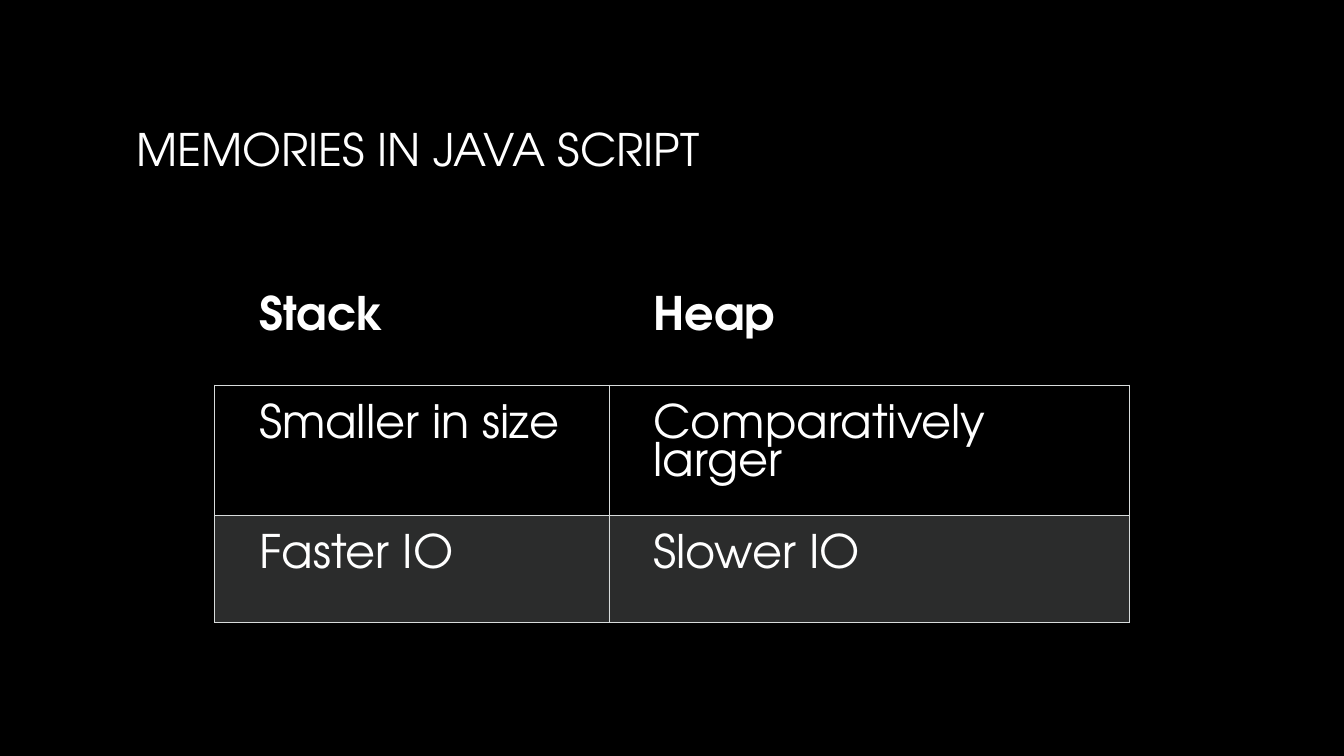
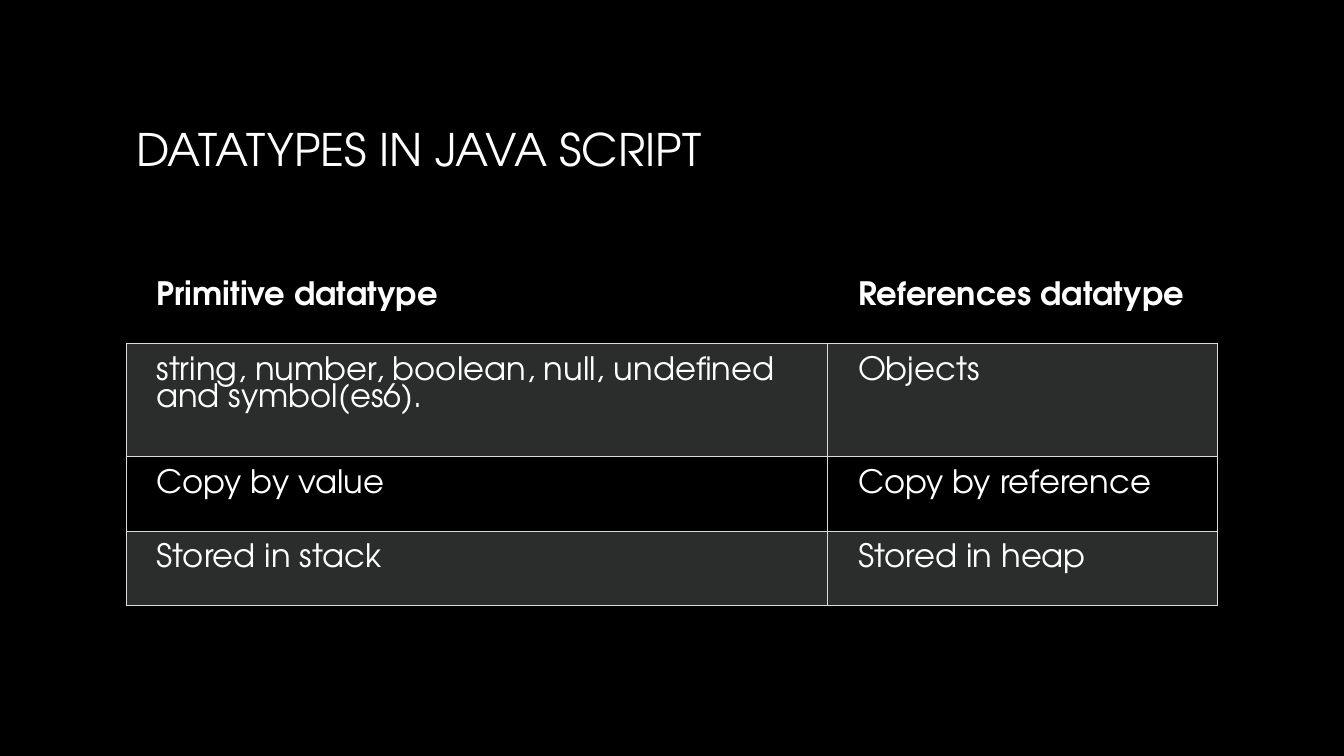
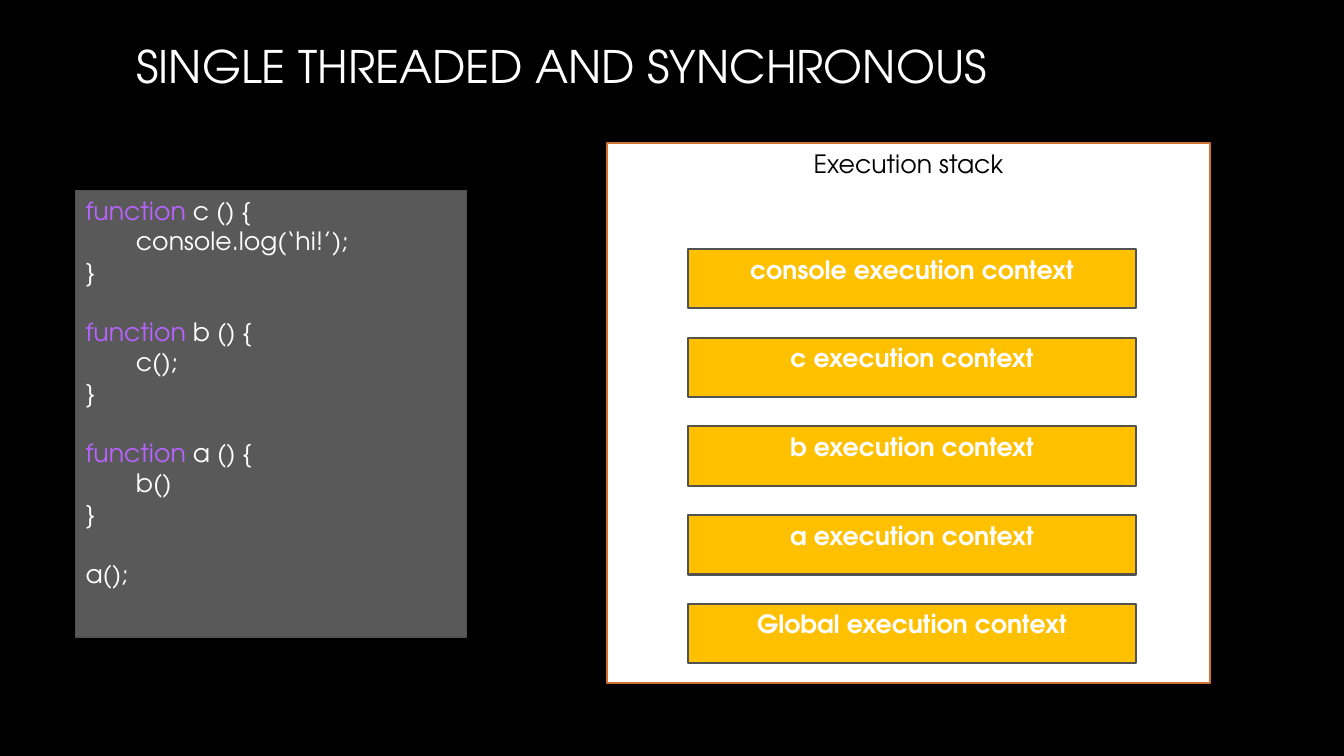
import dataclasses

import pptx
import pptx.dml.color
import pptx.enum.shapes
import pptx.enum.text
import pptx.oxml
import pptx.oxml.ns
import pptx.util

Inches = pptx.util.Inches
Pt = pptx.util.Pt
Align = pptx.enum.text.PP_ALIGN
Anchor = pptx.enum.text.MSO_ANCHOR


@dataclasses.dataclass(frozen=True)
class Theme:
    font: str = "TeX Gyre Adventor"
    black: str = "000000"
    white: str = "FFFFFF"
    rule: str = "D8DCDC"
    band: str = "D8DEDC"
    band_opacity: int = 20
    code_fill: str = "595959"
    outline: str = "525252"
    keyword: str = "B764FF"
    amber: str = "FFC000"
    orange: str = "CF7133"
    title_size: int = 32
    body_size: int = 18
    cell_spacing: float = 0.9
    rule_width: float = 0.75
    code_indent: float = 0.5
    code_gap: float = 21.6


THEME = Theme()
TITLE_ONLY = 5
KEYWORD = "function"
CODE_BLOCKS = [
    ["function c () {", "\tconsole.log(‘hi!’);", "}"],
    ["function b () {", "\tc();", "}"],
    ["function a () {", "\tb()", "}"],
    ["a();"],
]
CONTEXTS = ["console", "c", "b", "a", "Global"]


def rgb(color):
    return pptx.dml.color.RGBColor.from_string(color)


def add_text(para, text, size=THEME.body_size, color=THEME.white, bold=False,
             align=Align.LEFT, spacing=None):
    para.alignment = align
    if spacing:
        para.line_spacing = spacing
    span = para.add_run()
    span.text = text
    span.font.name = THEME.font
    span.font.size = Pt(size)
    span.font.bold = bold
    span.font.color.rgb = rgb(color)


def add_page(deck, title, top=0.67, height=1.61):
    page = deck.slides.add_slide(deck.slide_layouts[TITLE_ONLY])
    box = page.shapes.title
    box.left, box.top = Inches(1.25), Inches(top)
    box.width, box.height = Inches(10.83), Inches(height)
    box.text_frame.vertical_anchor = Anchor.MIDDLE
    add_text(box.text_frame.paragraphs[0], title, size=THEME.title_size)
    return page


def add_box(page, left, top, width, height, fill, line, line_width):
    """Add a plain rectangle and return its empty, top-anchored text frame."""
    box = page.shapes.add_shape(
        pptx.enum.shapes.MSO_SHAPE.RECTANGLE,
        Inches(left), Inches(top), Inches(width), Inches(height))
    box.shadow.inherit = False
    box.fill.solid()
    box.fill.fore_color.rgb = rgb(fill)
    box.line.color.rgb = rgb(line)
    box.line.width = Pt(line_width)
    box.text_frame.word_wrap = True
    box.text_frame.vertical_anchor = Anchor.TOP
    return box.text_frame


def set_borders(cell, visible):
    """Rule the sides in visible (letters of LRTB) and clear the others."""
    properties = cell._tc.get_or_add_tcPr()
    for side in "LRTB":
        paint = (f'<a:solidFill><a:srgbClr val="{THEME.rule}"/></a:solidFill>'
                 if side in visible else "<a:noFill/>")
        properties.append(pptx.oxml.parse_xml(
            f'<a:ln{side} {pptx.oxml.ns.nsdecls("a")} '
            f'w="{Pt(THEME.rule_width)}">{paint}</a:ln{side}>'))


def shade(cell):
    cell.fill.solid()
    cell.fill.fore_color.rgb = rgb(THEME.band)
    color = cell._tc.tcPr.find(".//" + pptx.oxml.ns.qn("a:srgbClr") + "[@val='"
                               + THEME.band + "']")
    color.append(pptx.oxml.parse_xml(
        f'<a:alpha {pptx.oxml.ns.nsdecls("a")} '
        f'val="{THEME.band_opacity * 1000}"/>'))


def add_comparison(page, rows, left, top, widths, heights, size, margins,
                   shaded):
    """Add a table with a bold open header; shaded holds the banded rows."""
    table = page.shapes.add_table(
        len(rows), len(widths), Inches(left), Inches(top),
        Inches(sum(widths)), Inches(sum(heights))).table
    table.first_row = table.horz_banding = False
    for column, width in zip(table.columns, widths):
        column.width = Inches(width)
    for index, (texts, height) in enumerate(zip(rows, heights)):
        table.rows[index].height = Inches(height)
        header = index == 0
        for cell, text in zip(table.rows[index].cells, texts):
            (cell.margin_left, cell.margin_top, cell.margin_right,
             cell.margin_bottom) = map(Inches, margins)
            add_text(cell.text_frame.paragraphs[0], text, size=size,
                     bold=header, spacing=THEME.cell_spacing)
            set_borders(cell, "B" if header else "LRTB")
            if index in shaded:
                shade(cell)
            else:
                cell.fill.background()


def add_code(page):
    frame = add_box(page, 0.75, 1.89, 3.88, 4.43, THEME.code_fill,
                    THEME.outline, 0.75)
    para = frame.paragraphs[0]
    for block_index, block in enumerate(CODE_BLOCKS):
        for line_index, line in enumerate(block):
            if block_index or line_index:
                para = frame.add_paragraph()
            if block_index and line_index == 0:
                para.space_before = Pt(THEME.code_gap)
            if line.startswith("\t"):
                para._p.get_or_add_pPr().set(
                    "marL", str(Inches(THEME.code_indent)))
            if line.startswith(KEYWORD):
                add_text(para, KEYWORD, color=THEME.keyword)
            add_text(para, line.removeprefix(KEYWORD).lstrip("\t"))


def add_execution_stack(page):
    frame = add_box(page, 6.02, 1.42, 5.98, 5.36, THEME.white, THEME.orange,
                    1.5)
    add_text(frame.paragraphs[0], "Execution stack", color=THEME.black,
             align=Align.CENTER)
    for index, name in enumerate(CONTEXTS):
        frame = add_box(page, 6.82, 2.47 + 0.88 * index, 4.45, 0.59,
                        THEME.amber, THEME.outline, 1.5)
        add_text(frame.paragraphs[0], f"{name} execution context", bold=True,
                 align=Align.CENTER)


def main():
    deck = pptx.Presentation()
    deck.slide_width, deck.slide_height = Inches(13.33), Inches(7.5)
    backdrop = deck.slide_master.background.fill
    backdrop.solid()
    backdrop.fore_color.rgb = rgb(THEME.black)

    page = add_page(deck, "MEMORIES IN JAVA SCRIPT")
    add_comparison(
        page,
        [("Stack", "Heap"),
         ("Smaller in size", "Comparatively larger"),
         ("Faster IO", "Slower IO")],
        left=2.13, top=2.75, widths=(3.91, 5.16), heights=(1.07, 1.29, 1.07),
        size=33, margins=(0.44, 0.22, 0.22, 0.22), shaded={2})

    page = add_page(deck, "DATATYPES IN JAVA SCRIPT")
    add_comparison(
        page,
        [("Primitive datatype", "References datatype"),
         ("string, number, boolean, null, undefined and symbol(es6).",
          "Objects"),
         ("Copy by value", "Copy by reference"),
         ("Stored in stack", "Stored in heap")],
        left=1.25, top=2.67, widths=(6.96, 3.87),
        heights=(0.74, 1.12, 0.74, 0.74),
        size=23, margins=(0.3, 0.15, 0.27, 0.15), shaded={1, 3})

    page = add_page(deck, "SINGLE THREADED AND SYNCHRONOUS", top=0, height=1.3)
    add_code(page)
    add_execution_stack(page)

    deck.save("out.pptx")


if __name__ == "__main__":
    main()
